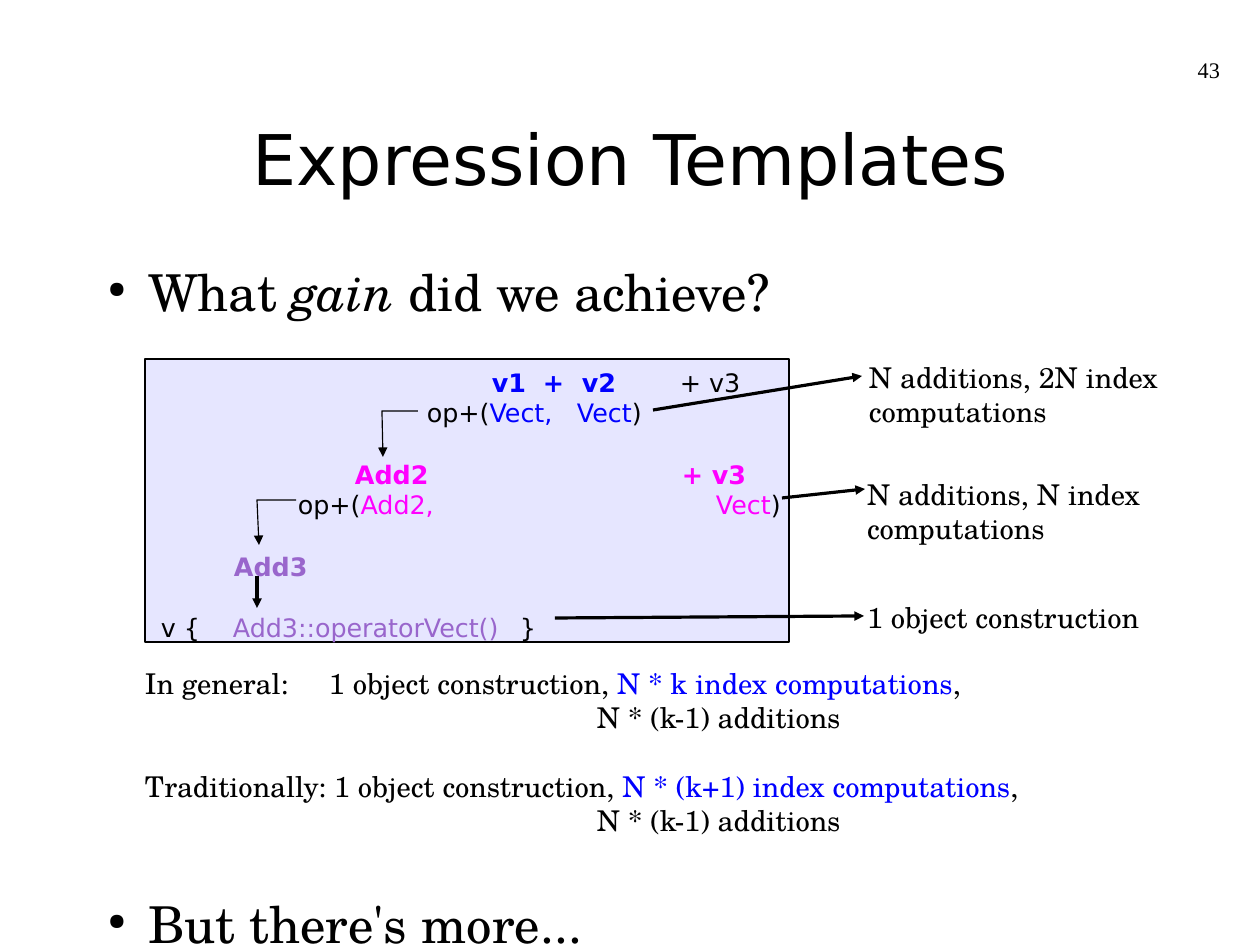
from dataclasses import dataclass
from lxml import etree
from pptx import Presentation
from pptx.dml.color import RGBColor
from pptx.enum.shapes import MSO_CONNECTOR, MSO_SHAPE
from pptx.enum.text import MSO_ANCHOR, MSO_AUTO_SIZE, PP_ALIGN
from pptx.oxml.ns import qn
from pptx.util import Pt

PX = 8000
RECT = MSO_SHAPE.RECTANGLE
LINE = MSO_CONNECTOR.STRAIGHT
TOP, MIDDLE = MSO_ANCHOR.TOP, MSO_ANCHOR.MIDDLE
FIXED = MSO_AUTO_SIZE.NONE
LEFT, CENTER, RIGHT = PP_ALIGN.LEFT, PP_ALIGN.CENTER, PP_ALIGN.RIGHT


@dataclass(frozen=True)
class Theme:
    black: str = "000000"
    blue: str = "0000FF"
    pink: str = "FF00FF"
    purple: str = "9966CC"
    panel: str = "E6E6FF"
    sans: str = "DejaVu Sans"
    serif: str = "TeX Gyre Schola"
    roman: str = "Times New Roman"
    title: int = 44
    body: int = 32
    note: int = 18
    code: int = 16
    page: int = 14


@dataclass
class Row:
    runs: list
    tabs: tuple = ()
    gap: int = 0


def add(parent, tag, **attrs):
    return etree.SubElement(parent, qn(tag), attrs)


class Deck:
    def __init__(self, theme):
        self.theme = theme
        self.prs = Presentation()
        self.prs.slide_width, self.prs.slide_height = 1260 * PX, 945 * PX
        self.slide = self.prs.slides.add_slide(self.prs.slide_layouts[5])

    def frame(self, shape, anchor=TOP):
        frame = shape.text_frame
        frame.margin_left = frame.margin_top = 0
        frame.margin_right = frame.margin_bottom = 0
        frame.word_wrap = True
        frame.auto_size = FIXED
        frame.vertical_anchor = anchor
        return frame

    def style(self, run, font, size, color, bold=False, italic=False):
        run.font.name = font
        run.font.size = Pt(size)
        run.font.bold = bold
        run.font.italic = italic
        run.font.color.rgb = RGBColor.from_string(color)

    def title(self, box, text):
        shape = self.slide.shapes.title
        shape.left, shape.top, shape.width, shape.height = [n * PX for n in box]
        frame = self.frame(shape, MIDDLE)
        frame.text = text
        para = frame.paragraphs[0]
        para.alignment = CENTER
        self.style(para.runs[0], self.theme.sans, self.theme.title, self.theme.black)

    def text(self, box, rows, font, size, align=LEFT, bullet=False):
        shape = self.slide.shapes.add_textbox(*[n * PX for n in box])
        frame = self.frame(shape)
        for i, row in enumerate(rows):
            para = frame.add_paragraph() if i else frame.paragraphs[0]
            if bullet:
                self.bullet(para)
            if row.tabs:
                stops = add(para._p.get_or_add_pPr(), "a:tabLst")
                for stop in row.tabs:
                    add(stops, "a:tab", pos=str(stop * PX), algn="l")
            para.alignment = align
            if row.gap:
                para.space_before = row.gap * PX
            for words, color, *face in row.runs:
                run = para.add_run()
                run.text = words
                self.style(run, font, size, color, "b" in face, "i" in face)

    def bullet(self, para):
        props = para._p.get_or_add_pPr()
        props.set("marL", str(54 * PX))
        props.set("indent", str(-40 * PX))
        add(add(props, "a:buClr"), "a:srgbClr", val=self.theme.black)
        add(props, "a:buSzPct", val="45000")
        add(props, "a:buChar", char="●")

    def panel(self, box):
        shape = self.slide.shapes.add_shape(RECT, *[n * PX for n in box])
        shape.shadow.inherit = False
        shape.fill.solid()
        shape.fill.fore_color.rgb = RGBColor.from_string(self.theme.panel)
        self.stroke(shape)

    def stroke(self, shape, head=False):
        shape.line.color.rgb = RGBColor.from_string(self.theme.black)
        shape.line.width = Pt(0)
        if head:
            add(shape.line._get_or_add_ln(), "a:tailEnd", type="triangle")

    def arrow(self, *ends):
        line = self.slide.shapes.add_connector(LINE, *[n * PX for n in ends])
        self.stroke(line, True)
        add(line._element.spPr, "a:effectLst")

    def elbow(self, start, *rest):
        form = self.slide.shapes.build_freeform(*start, scale=PX)
        form.add_line_segments(rest, close=False)
        shape = form.convert_to_shape()
        shape.shadow.inherit = False
        shape.fill.background()
        self.stroke(shape, True)


def main():
    t = Theme()
    deck = Deck(t)
    ink, blue, pink, plum = t.black, t.blue, t.pink, t.purple
    deck.title((93, 79, 1076, 158), "Expression Templates")
    deck.panel((145, 359, 644, 283))

    points = [
        Row([("What ", ink), ("gain", ink, "i"), (" did we achieve?", ink)]),
        Row([("But there's more...", ink)], gap=571),
    ]
    deck.text((94, 261, 1076, 680), points, t.serif, t.body, bullet=True)

    code = [
        Row([("\tv1\t+\tv2", blue, "b"), ("\t+ v3", ink)], (339, 390, 429, 527)),
        Row([("\top+(", ink), ("Vect,\tVect", blue), (")", ink)], (274, 424)),
        Row([("\tAdd2\t+ v3", pink, "b")], (202, 529), 31),
        Row([("\top+(", ink), ("Add2,\tVect", pink), (")", ink)], (145, 563)),
        Row([("\tAdd3", plum, "b")], (81,), 31),
        Row([("\tv {", ink), ("\tAdd3::operatorVect()", plum), ("\t}", ink)],
            (8, 80, 367), 31),
    ]
    deck.text((153, 367, 650, 294), code, t.sans, t.code)

    deck.elbow((418, 411), (382, 411), (383, 457))
    deck.elbow((296, 500), (257, 500), (259, 545))
    deck.arrow(257, 576, 257, 608)

    costs = [
        (869, 360, ("N additions, 2N index", "computations"), (653, 410, 862, 376)),
        (867, 477, ("N additions, N index", "computations"), (782, 498, 865, 489)),
        (867, 600, ("1 object construction",), (555, 618, 864, 616)),
    ]
    for left, top, lines, ends in costs:
        rows = [Row([(line, ink)]) for line in lines]
        deck.text((left, top, 320, 39 * len(lines)), rows, t.serif, t.note)
        deck.arrow(*ends)

    totals = [
        ("In general:\t", "N * k index computations", (184,), 0),
        ("Traditionally: ", "N * (k+1) index computations", (), 34),
    ]
    rows = []
    for lead, count, tabs, gap in totals:
        rows += [
            Row([(lead + "1 object construction, ", ink), (count, blue), (",", ink)],
                tabs, gap),
            Row([("\tN * (k-1) additions", ink)], (452,)),
        ]
    deck.text((145, 666, 954, 194), rows, t.serif, t.note)

    deck.text((926, 56, 294, 65), [Row([("43", ink)])], t.roman, t.page, RIGHT)
    deck.prs.save("out.pptx")


if __name__ == "__main__":
    main()
